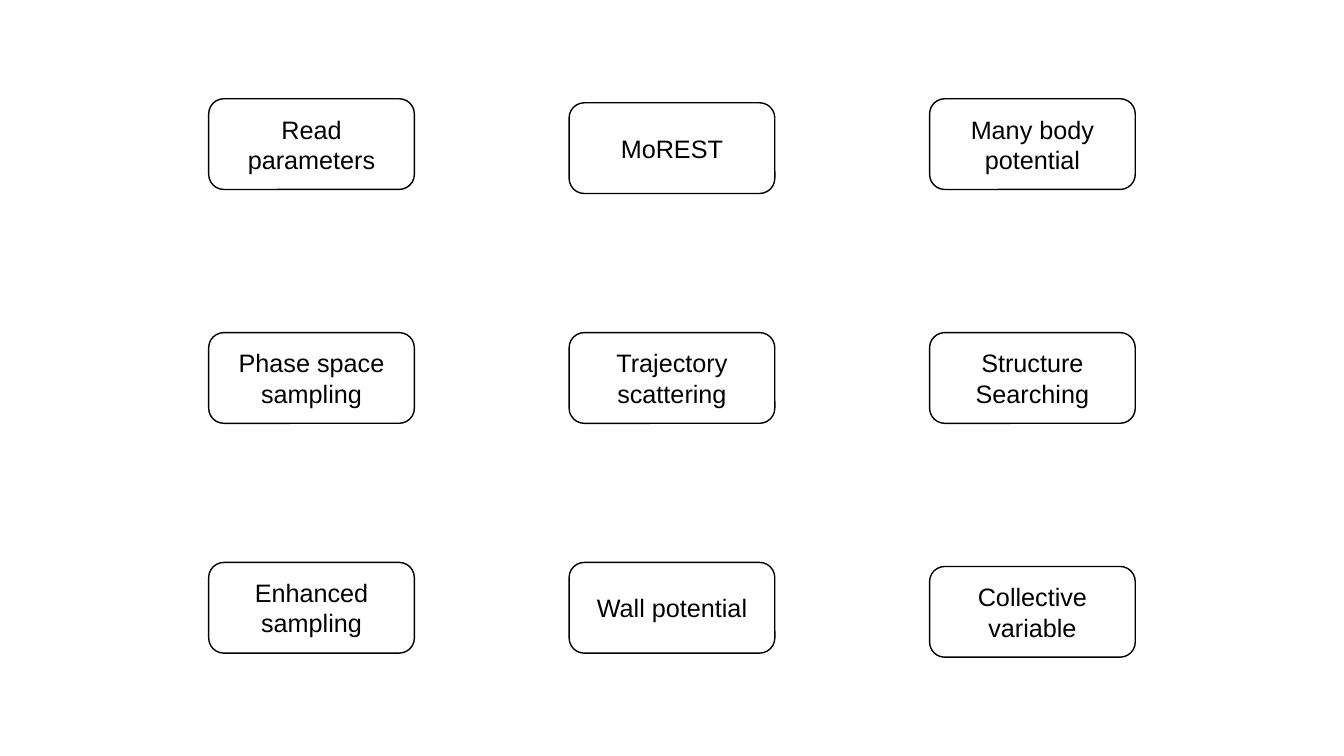
from pptx import Presentation
from pptx.dml.color import RGBColor
from pptx.enum.shapes import MSO_SHAPE as Shape
from pptx.enum.text import MSO_ANCHOR as Anchor, PP_ALIGN as Align
from pptx.util import Inches, Pt

BOX_WIDTH, BOX_HEIGHT = 2.04, 0.9
COLUMN_PITCH = 3.575
ROW_OFFSETS = (0, 2.32, 4.6)
LOWERED = 0.04  # two boxes sit slightly below their row

MODULES = (
    ("Read parameters", "MoREST", "Many body potential"),
    ("Phase space sampling", "Trajectory scattering", "Structure\nSearching"),
    ("Enhanced sampling", "Wall potential", "Collective variable"),
)
LOWERED_MODULES = {"MoREST", "Collective variable"}
LABEL_FONT = {"name": "Arial", "size": Pt(18), "bold": False}


def color(hex_value):
    return RGBColor.from_string(hex_value)


def add_module(slide, left, top, label):
    """Place one rounded box with a centred label."""
    shape = slide.shapes.add_shape(
        Shape.ROUNDED_RECTANGLE,
        Inches(left), Inches(top), Inches(BOX_WIDTH), Inches(BOX_HEIGHT))
    shape.shadow.inherit = False
    shape.fill.solid()
    shape.fill.fore_color.rgb = color("FFFFFF")
    shape.line.color.rgb = color("000000")
    shape.line.width = Pt(1)

    # Label
    frame = shape.text_frame
    frame.word_wrap = True
    frame.vertical_anchor = Anchor.MIDDLE
    frame.text = label
    for paragraph in frame.paragraphs:
        paragraph.alignment = Align.CENTER
        for run in paragraph.runs:
            for attribute, value in LABEL_FONT.items():
                setattr(run.font, attribute, value)
            run.font.color.rgb = color("000000")


def add_module_grid(slide, left, top):
    """Place all modules in rows and columns from the given corner."""
    for row_offset, labels in zip(ROW_OFFSETS, MODULES):
        for column, label in enumerate(labels):
            shift = LOWERED if label in LOWERED_MODULES else 0
            add_module(slide, left + column * COLUMN_PITCH,
                       top + row_offset + shift, label)


def main():
    presentation = Presentation()
    presentation.slide_width = Inches(13.33)
    presentation.slide_height = Inches(7.5)
    blank_layout = presentation.slide_layouts[6]
    slide = presentation.slides.add_slide(blank_layout)
    add_module_grid(slide, 2.07, 0.98)
    presentation.save("out.pptx")


if __name__ == "__main__":
    main()
